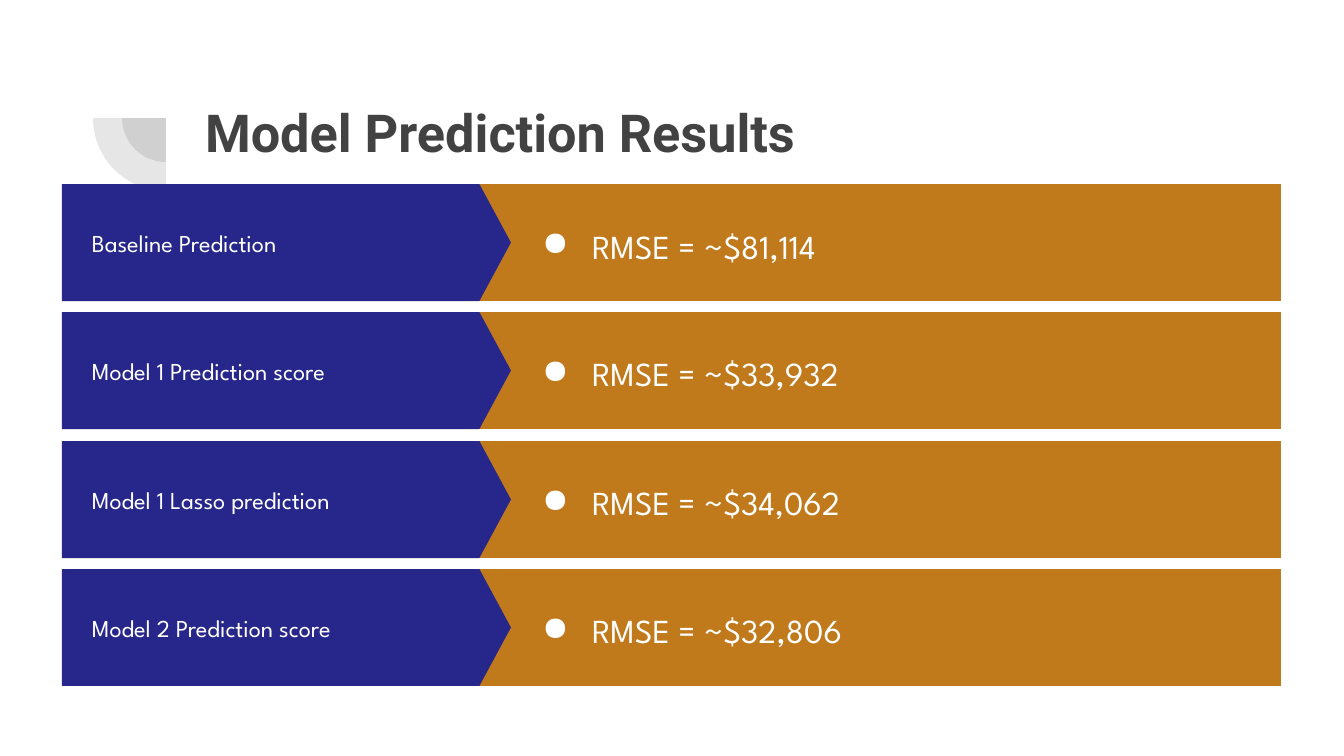
from lxml import etree
from pptx import Presentation
from pptx.dml.color import RGBColor
from pptx.enum.shapes import MSO_SHAPE as SHAPE
from pptx.enum.text import MSO_ANCHOR as ANCHOR
from pptx.oxml.ns import qn
from pptx.util import Pt

PX = 6804  # EMU per pixel at 134.4 pixels to the inch
COLORS = {"grey": "424242", "blue": "27278B", "ochre": "C0791B", "white": "FFFFFF"}
ROWS = [
    ("Baseline Prediction", "RMSE = ~$81,114"),
    ("Model 1 Prediction score", "RMSE = ~$33,932"),
    ("Model 1 Lasso prediction", "RMSE = ~$34,062"),
    ("Model 2 Prediction score", "RMSE = ~$32,806"),
]
ROW_TOP, ROW_PITCH, ROW_H = 184, 128.4, 117


def add_text(text, box, size, font="League Spartan", color="white", bold=False,
             anchor=ANCHOR.MIDDLE, bullet=False):
    """Add a one-paragraph text box; box is left, top, width, height in pixels."""
    tf = s.shapes.add_textbox(*(v * PX for v in box)).text_frame
    tf.word_wrap = True
    tf.vertical_anchor = anchor
    tf.margin_left = tf.margin_right = tf.margin_top = tf.margin_bottom = 13 * PX
    p = tf.paragraphs[0]
    r = p.add_run()
    r.text = text
    r.font.size, r.font.name, r.font.bold = Pt(size), font, bold
    r.font.color.rgb = RGBColor.from_string(COLORS[color])
    if bullet:
        p.line_spacing = 1.15
        pPr = p._p.get_or_add_pPr()
        pPr.set("marL", str(67 * PX))
        pPr.set("indent", str(-50 * PX))
        buClr = etree.SubElement(pPr, qn("a:buClr"))
        etree.SubElement(buClr, qn("a:srgbClr"), val=COLORS[color])
        etree.SubElement(pPr, qn("a:buChar"), char="●")


def add_filled(kind, box, color, adjustments=()):
    """Add a borderless filled shape; box is in pixels."""
    sp = s.shapes.add_shape(kind, *(v * PX for v in box))
    sp.shadow.inherit = False
    sp.line.fill.background()
    sp.fill.solid()
    sp.fill.fore_color.rgb = RGBColor.from_string(COLORS[color])
    for i, value in enumerate(adjustments):
        sp.adjustments[i] = value
    return sp


prs = Presentation()
prs.slide_width, prs.slide_height = 1344 * PX, 756 * PX
s = prs.slides.add_slide(prs.slide_layouts[6])

# Two translucent quarter circles around one centre
for radius in (44, 73):
    pie = add_filled(SHAPE.PIE, (166 - radius, 118 - radius, 2 * radius, 2 * radius),
                     "grey", (108, 162))
    pie.rotation = 270
    srgb = pie._element.spPr.find(".//" + qn("a:srgbClr"))
    etree.SubElement(srgb, qn("a:alpha"), val="13000")

add_text("Model Prediction Results", (192, 87, 1034, 146), 28, font="Roboto",
         color="grey", bold=True, anchor=ANCHOR.TOP)

for i, (label, score) in enumerate(ROWS):
    top = ROW_TOP + round(i * ROW_PITCH)
    add_filled(SHAPE.RECTANGLE, (430, top, 851, ROW_H), "ochre")
    add_filled(SHAPE.PENTAGON, (62, top, 449, ROW_H), "blue", (0.27,))
    add_text(label, (79, top, 356, ROW_H), 13)
    add_text(score, (512, top, 586, ROW_H), 18, bullet=True)

prs.save("out.pptx")
